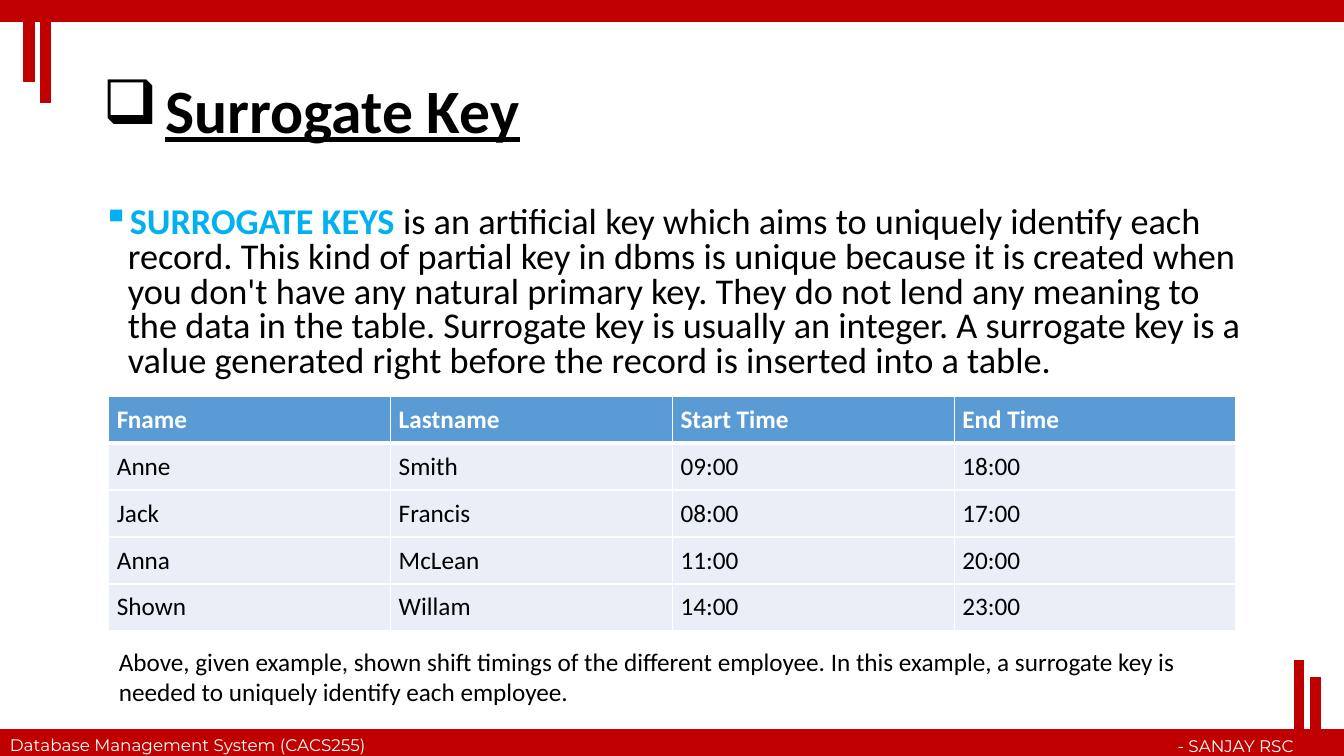
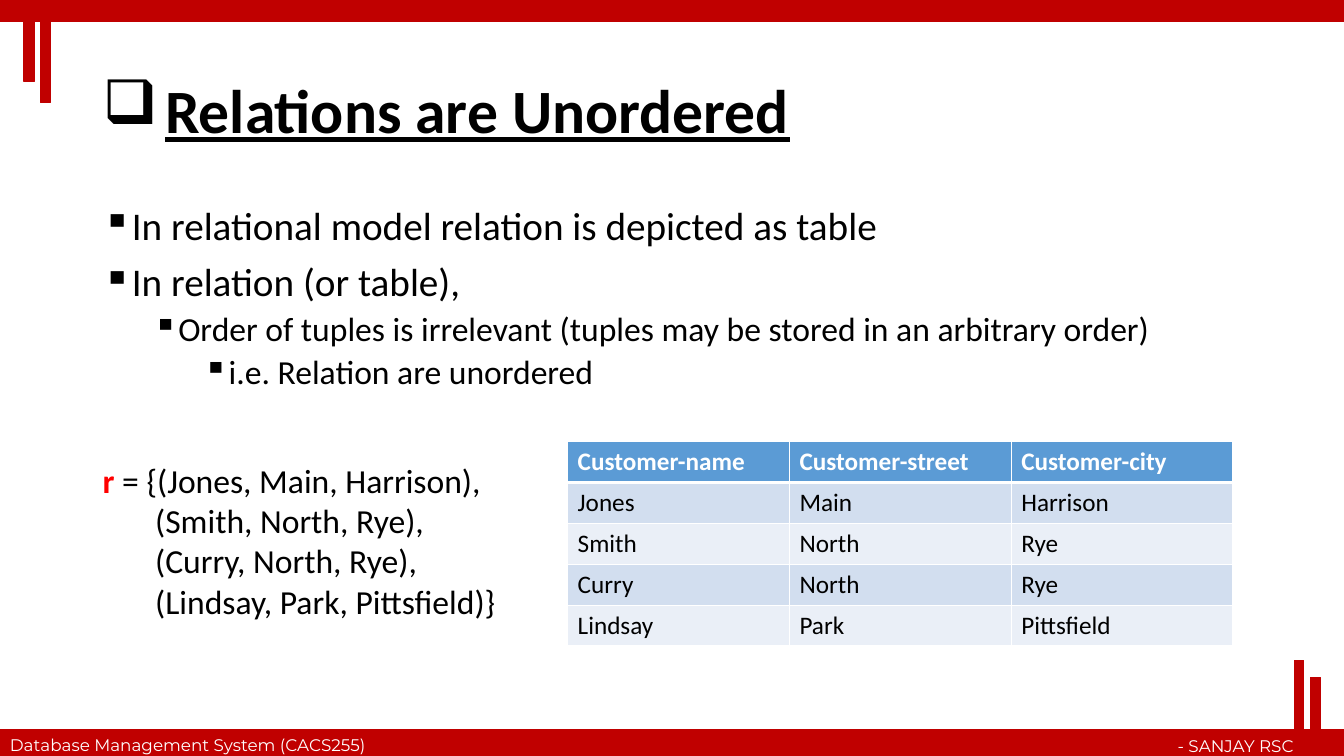
from lxml.etree import SubElement
from pptx import Presentation
from pptx.dml.color import RGBColor
from pptx.enum.shapes import MSO_SHAPE as SHAPE
from pptx.enum.text import MSO_ANCHOR as ANCHOR, PP_ALIGN as ALIGN
from pptx.oxml import parse_xml
from pptx.oxml.ns import nsdecls, qn
from pptx.util import Inches, Pt

COLORS = {
    "red": "C00000", "bright_red": "FF0000", "sky": "00B0F0",
    "header": "5B9BD5", "band_dark": "D2DEEF", "band_light": "EAEFF7",
    "black": "000000", "white": "FFFFFF",
}
FONT, FOOTER_FONT = "Calibri", "Montserrat"
SLIDE_W, SLIDE_H = 13.33, 7.5
LEFT, CONTENT_W = 0.92, 11.5

# Red bands and corner bars: left, top, width, height
BANDS = [
    (0, 7.24, SLIDE_W, 0.26), (0, 0, SLIDE_W, 0.21),
    (0.4, 0.01, 0.1, 1.01), (0.24, 0.03, 0.1, 0.78),
    (12.84, 6.55, 0.09, 0.94), (13, 6.72, 0.1, 0.78),
]


def rgb(name):
    return RGBColor.from_string(COLORS[name])


def add_run(p, text, size=18, color="black", bold=False, underline=False, font=FONT):
    r = p.add_run()
    r.text = text
    r.font.name, r.font.size = font, Pt(size)
    r.font.bold, r.font.underline = bold, underline
    r.font.color.rgb = rgb(color)


def format_paragraph(p, indent=0, hang=0, bullet=None, line=None, before=0, align=None):
    p.alignment = align
    p.line_spacing = line
    p.space_before = Pt(before)
    pPr = p._p.get_or_add_pPr()
    pPr.set("marL", str(Inches(indent)))
    pPr.set("indent", str(-Inches(hang)))
    if bullet:
        SubElement(pPr, qn("a:buChar")).set("char", bullet)


def add_text(s, box, paragraphs, anchor=ANCHOR.TOP):
    """Each paragraph is (runs, paragraph format); each run is (text, run format)."""
    tf = s.shapes.add_textbox(*map(Inches, box)).text_frame
    tf.word_wrap = True
    tf.vertical_anchor = anchor
    for i, (runs, layout) in enumerate(paragraphs):
        p = tf.add_paragraph() if i else tf.paragraphs[0]
        format_paragraph(p, **layout)
        for text, style in runs:
            add_run(p, text, **style)


def add_band(s, box):
    sp = s.shapes.add_shape(SHAPE.RECTANGLE, *map(Inches, box))
    sp.shadow.inherit = False
    sp.fill.solid()
    sp.fill.fore_color.rgb = sp.line.color.rgb = rgb("red")
    sp.line.width = Pt(1)


def set_borders(cell, top, bottom):
    tcPr = cell._tc.get_or_add_tcPr()
    widths = {"lnL": 1, "lnR": 1, "lnT": top, "lnB": bottom}
    for i, (tag, width) in enumerate(widths.items()):
        tcPr.insert(i, parse_xml(
            f'<a:{tag} {nsdecls("a")} w="{Pt(width)}"><a:solidFill>'
            f'<a:srgbClr val="{COLORS["white"]}"/></a:solidFill></a:{tag}>'))


def add_table(s, box, rows, bands, margin_x=0.1, margin_y=0.05):
    """Header row in blue; the body rows cycle through the band colours."""
    tbl = s.shapes.add_table(len(rows), len(rows[0]), *map(Inches, box)).table
    tbl.horz_banding = False
    for i, row in enumerate(rows):
        tbl.rows[i].height = Inches(box[3] / len(rows))
        header = i == 0
        for j, text in enumerate(row):
            cell = tbl.cell(i, j)
            cell.margin_left = cell.margin_right = Inches(margin_x)
            cell.margin_top = cell.margin_bottom = Inches(margin_y)
            cell.fill.solid()
            cell.fill.fore_color.rgb = rgb("header" if header else bands[(i - 1) % len(bands)])
            set_borders(cell, top=3 if i == 1 else 1, bottom=3 if header else 1)
            add_run(cell.text_frame.paragraphs[0], text, bold=header,
                    color="white" if header else "black")


def new_slide(prs, title):
    """Blank slide with the shared bands, footer and title."""
    s = prs.slides.add_slide(prs.slide_layouts[6])
    for box in BANDS:
        add_band(s, box)
    footer = {"size": 12, "color": "white", "font": FOOTER_FONT}
    add_text(s, (0, 7.24, 4.16, 0.3),
             [([("Database Management System (CACS255)", footer)], {})])
    add_text(s, (9.7, 7.25, 3.23, 0.3),
             [([("- SANJAY RSC", footer)], {"align": ALIGN.RIGHT})])
    add_text(s, (LEFT, 0.4, CONTENT_W, 1.45),
             [([(title, {"size": 44, "bold": True, "underline": True})],
               {"indent": 0.62, "hang": 0.62, "bullet": "❑", "line": 0.9})],
             anchor=ANCHOR.MIDDLE)
    return s


def bullet_format(level=0, line=0.9):
    return {"indent": 0.25 + 0.5 * level, "hang": 0.25, "bullet": "▪",
            "line": line, "before": 5 if level else 10}


def surrogate_key_slide(prs):
    s = new_slide(prs, "Surrogate Key")
    # Definition
    add_text(s, (LEFT, 2, CONTENT_W, 1.85), [([
        ("SURROGATE KEYS", {"size": 25.9, "color": "sky", "bold": True}),
        (" is an artificial key which aims to uniquely identify each record. "
         "This kind of partial key in dbms is unique because it is created when you "
         "don't have any natural primary key. They do not lend any meaning to the data "
         "in the table. Surrogate key is usually an integer. A surrogate key is a value "
         "generated right before the record is inserted into a table.", {"size": 25.9}),
    ], bullet_format(line=0.8))])
    # Shift table and its explanation
    add_table(s, (1.08, 3.93, 11.18, 2.33), [
        ("Fname", "Lastname", "Start Time", "End Time"),
        ("Anne", "Smith", "09:00", "18:00"),
        ("Jack", "Francis", "08:00", "17:00"),
        ("Anna", "McLean", "11:00", "20:00"),
        ("Shown", "Willam", "14:00", "23:00"),
    ], ["band_light"], margin_x=0.08, margin_y=0.08)
    add_text(s, (1.08, 6.36, 11.18, 0.71), [([
        ("Above, given example, shown shift timings of the different employee. In this "
         "example, a surrogate key is needed to uniquely identify each employee.", {}),
    ], {})])


def unordered_relations_slide(prs):
    s = new_slide(prs, "Relations are Unordered")
    # Nested points: level, size, text
    points = [
        (0, 28, "In relational model relation is depicted as table"),
        (0, 28, "In relation (or table),"),
        (1, 24, "Order of tuples is irrelevant (tuples may be stored in an arbitrary order)"),
        (2, 24, "i.e. Relation are unordered"),
    ]
    add_text(s, (LEFT, 2, CONTENT_W, 2.3),
             [([(text, {"size": size})], bullet_format(level)) for level, size, text in points])
    # Relation as a set of tuples
    first = [("r", {"size": 24, "color": "bright_red", "bold": True}),
             (" = {(Jones, Main, Harrison),", {"size": 24})]
    others = ["(Smith, North, Rye),", "(Curry, North, Rye),", "(Lindsay, Park, Pittsfield)}"]
    add_text(s, (LEFT, 4.51, 4.28, 2.02),
             [(first, {})] + [([(text, {"size": 24})], {"indent": 0.52}) for text in others])
    # The same relation as a table
    add_table(s, (5.63, 4.38, 6.6, 2.03), [
        ("Customer-name", "Customer-street", "Customer-city"),
        ("Jones", "Main", "Harrison"),
        ("Smith", "North", "Rye"),
        ("Curry", "North", "Rye"),
        ("Lindsay", "Park", "Pittsfield"),
    ], ["band_dark", "band_light"])


def main():
    prs = Presentation()
    prs.slide_width, prs.slide_height = Inches(SLIDE_W), Inches(SLIDE_H)
    surrogate_key_slide(prs)
    unordered_relations_slide(prs)
    prs.save("out.pptx")


if __name__ == "__main__":
    main()
